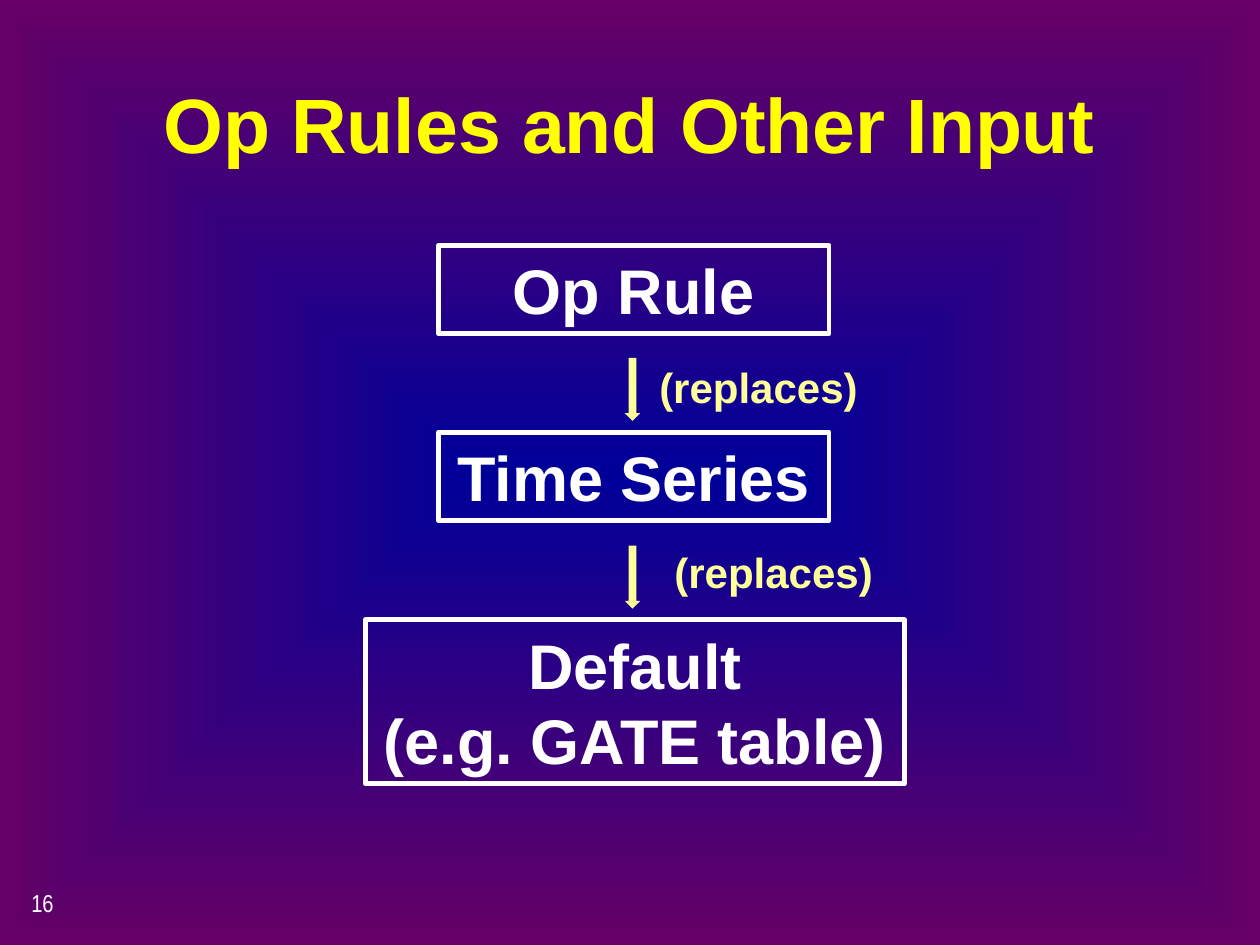
"""Build the slide on how op rules replace other input."""
from typing import NamedTuple

from lxml.etree import SubElement
from pptx import Presentation
from pptx.dml.color import RGBColor
from pptx.enum.shapes import MSO_SHAPE
from pptx.enum.text import MSO_ANCHOR, PP_ALIGN
from pptx.oxml.ns import qn
from pptx.util import Inches, Pt

WHITE, YELLOW, PALE = "FFFFFF", "FFFF00", "FFFF99"
BLUE, PURPLE = "000099", "660066"


class Area(NamedTuple):
    """Left, top, width and height in inches."""
    left: float
    top: float
    width: float
    height: float


class Step(NamedTuple):
    """A framed box with its text."""
    text: str
    area: Area


class Link(NamedTuple):
    """A down arrow and the label beside it."""
    top: float
    label: Area


STEPS = [
    Step("Op Rule", Area(3.48, 1.95, 3.1, 0.7)),
    Step("Time Series", Area(3.48, 3.43, 3.1, 0.7)),
    Step("Default\n(e.g. GATE table)", Area(2.9, 4.92, 4.28, 1.3)),
]
LINKS = [
    Link(2.84, Area(5, 2.82, 2.04, 0.5)),
    Link(4.33, Area(5.12, 4.29, 2.04, 0.5)),
]


def paint(target, color: str) -> None:
    """Set a colour format from a hex string."""
    target.rgb = RGBColor.from_string(color)


def place(area: Area) -> list:
    """Turn an area into lengths."""
    return [Inches(side) for side in area]


def write(shape, text: str, *, size: float, color: str = WHITE,
          font: str = "Arial", bold: bool = True,
          align=PP_ALIGN.CENTER, anchor=MSO_ANCHOR.TOP) -> None:
    """Fill a shape with text in one format."""
    frame = shape.text_frame
    frame.word_wrap = True
    frame.vertical_anchor = anchor
    frame.text = text
    for para in frame.paragraphs:
        para.alignment = align
        for run in para.runs:
            run.font.name = font
            run.font.size = Pt(size)
            run.font.bold = bold
            paint(run.font.color, color)


def add_text(slide, area: Area, text: str, **style) -> None:
    """Add a text box."""
    write(slide.shapes.add_textbox(*place(area)), text, **style)


def add_step(slide, step: Step) -> None:
    """Add a white frame with its text."""
    box = slide.shapes.add_shape(MSO_SHAPE.RECTANGLE, *place(step.area))
    box.shadow.inherit = False
    box.fill.background()
    paint(box.line.color, WHITE)
    box.line.width = Pt(2.75)
    write(box, step.text, size=36)


def add_link(slide, link: Link) -> None:
    """Add an arrow and its label."""
    area = Area(4.96, link.top, 0.12, 0.5)
    arrow = slide.shapes.add_shape(MSO_SHAPE.DOWN_ARROW, *place(area))
    arrow.shadow.inherit = False
    arrow.fill.solid()
    paint(arrow.fill.fore_color, PALE)
    arrow.line.fill.background()
    add_text(slide, link.label, "(replaces)", size=24, color=PALE)


def set_back(slide) -> None:
    """Shade the background from a blue centre to a purple edge."""
    fill = slide.background.fill
    fill.gradient()
    for stop, color in zip(fill.gradient_stops, (BLUE, PURPLE)):
        paint(stop.color, color)
    grad = next(slide.element.iter(qn("a:gradFill")))
    grad.remove(grad.find(qn("a:lin")))
    shade = SubElement(grad, qn("a:path"), {"path": "rect"})
    SubElement(shade, qn("a:fillToRect"), dict.fromkeys("ltrb", "50000"))


def main() -> None:
    """Build and save the slide."""
    deck = Presentation()
    deck.slide_width, deck.slide_height = Inches(10), Inches(7.5)
    slide = deck.slides.add_slide(deck.slide_layouts[6])
    set_back(slide)
    add_text(slide, Area(0.75, 0.35, 8.5, 1.25), "Op Rules and Other Input",
             size=44, color=YELLOW, anchor=MSO_ANCHOR.MIDDLE)
    add_text(slide, Area(0.15, 7, 2.08, 0.5), "16", size=14,
             font="Arial Narrow", bold=False, align=PP_ALIGN.LEFT)
    for step in STEPS:
        add_step(slide, step)
    for link in LINKS:
        add_link(slide, link)
    deck.save("out.pptx")


if __name__ == "__main__":
    main()
